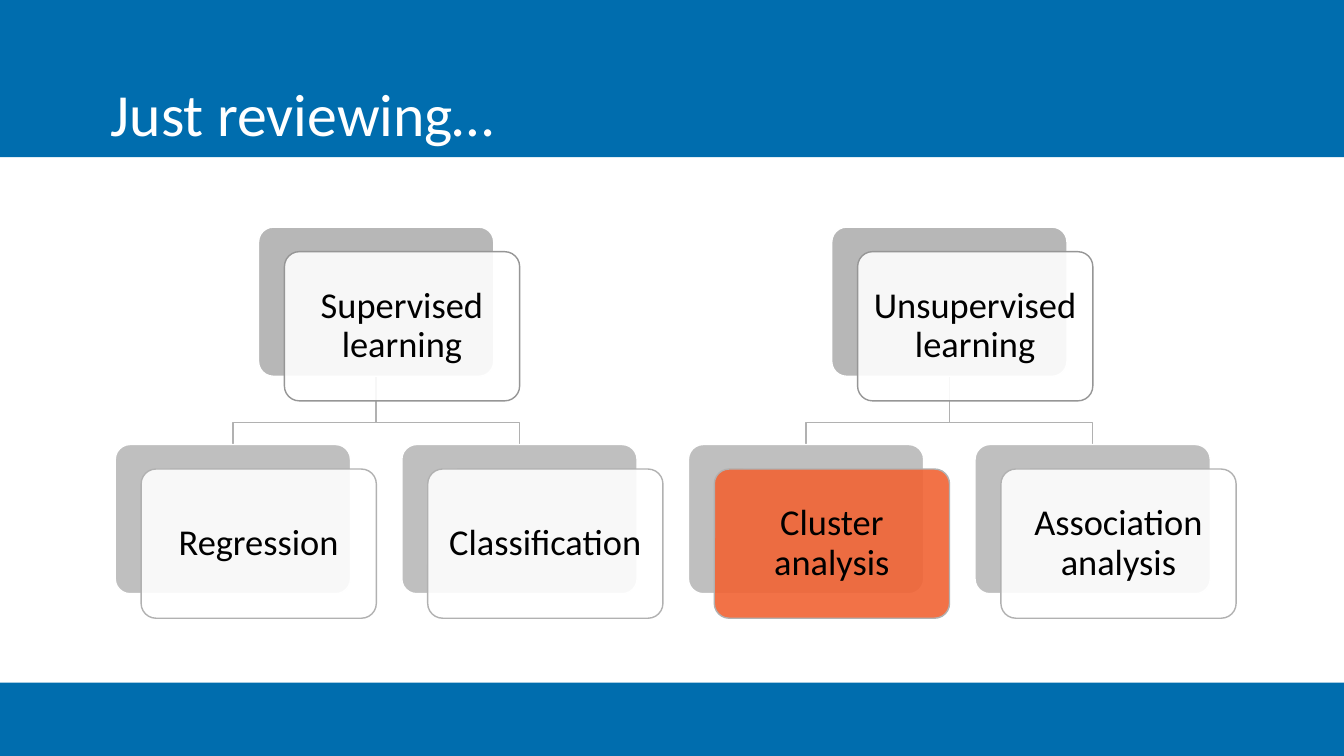
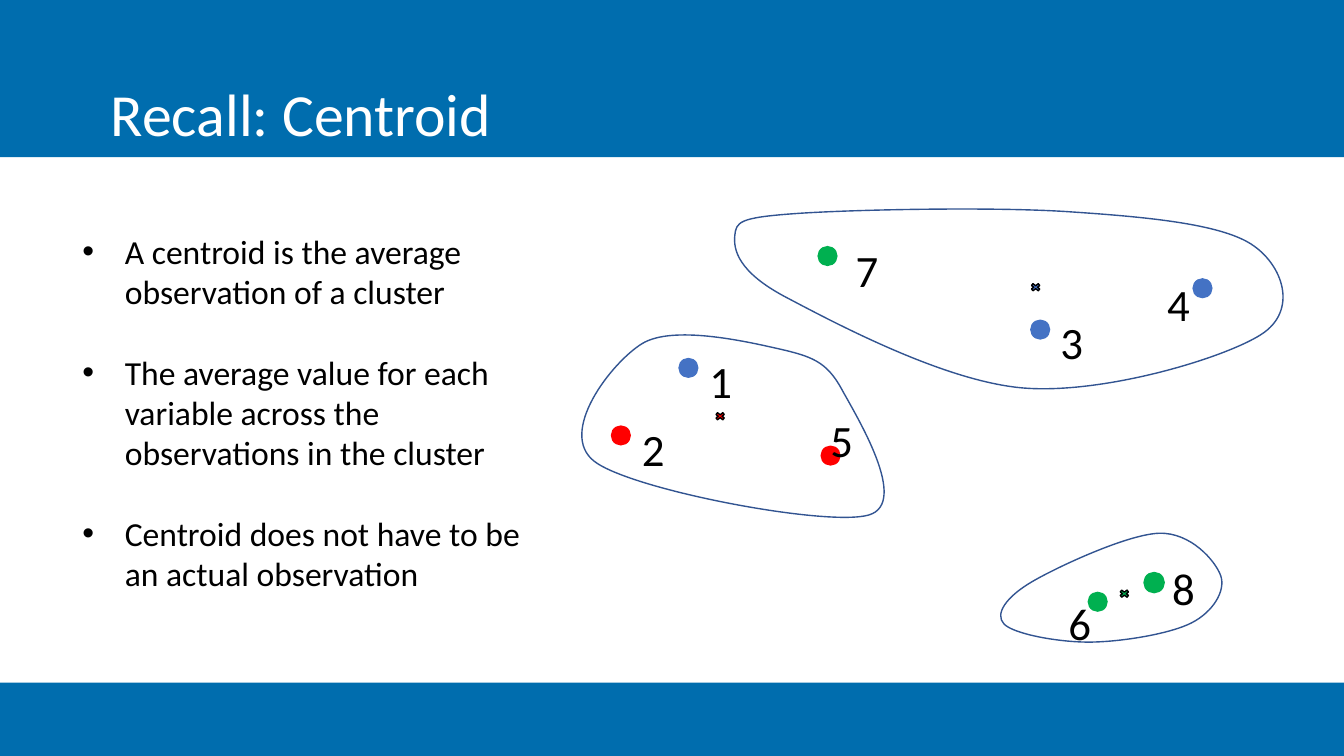
import dataclasses

import lxml.etree
import pptx
import pptx.dml.color
import pptx.enum.shapes
import pptx.enum.text
import pptx.oxml.ns
import pptx.util

SHAPES = pptx.enum.shapes.MSO_SHAPE
ALIGN = pptx.enum.text.PP_ALIGN
ANCHOR = pptx.enum.text.MSO_ANCHOR
qn = pptx.oxml.ns.qn


@dataclasses.dataclass(frozen=True)
class Theme:
    font: str = "Calibri"
    bullet_font: str = "Arial"
    band: str = "006DAE"
    paper: str = "FFFFFF"
    ink: str = "000000"
    card: str = "A5A5A5"
    parent_edge: str = "969696"
    child_edge: str = "B1B1B1"
    highlight: str = "F16334"
    outline: str = "325491"
    blue: str = "4472C4"
    red: str = "FF0000"
    green: str = "00B050"
    title_size: float = 42.7
    card_size: float = 26
    body_size: float = 24
    label_size: float = 32


@dataclasses.dataclass(frozen=True)
class Cluster:
    nodes: list
    centroid: tuple
    centroid_color: str
    members: list


THEME = Theme()
COLUMNS, ROWS = 40, 22.5
CARD_WIDTH, CARD_HEIGHT = 7, 4.44
CARD_SHIFT = (0.77, 0.73)
CARD_LEFT, CARD_PITCH = 3.43, 8.53
PARENT_TOP, BUS_TOP, CHILD_TOP = 6.76, 12.57, 13.23
DOT_SIZE = 0.6
CURVE_STEPS = 16

BRANCHES = [
    ("Supervised learning", ["Regression", "Classification"]),
    ("Unsupervised learning", ["Cluster analysis", "Association analysis"]),
]
HIGHLIGHTED = "Cluster analysis"

BULLETS = [
    "A centroid is the average observation of a cluster",
    "The average value for each variable across the observations in the cluster",
    "Centroid does not have to be an actual observation",
]

CLUSTERS = [
    Cluster(
        [(30.72, 17.31), (34.5, 15.87), (36.33, 17.13), (35.46, 18.54),
         (32.43, 19.11), (29.88, 18.57)],
        (33.27, 17.52), THEME.green,
        [("6", THEME.green, None, (32.37, 17.61), (31.5, 17.58)),
         ("8", THEME.green, THEME.green, (34.05, 17.04), (34.59, 16.53))],
    ),
    Cluster(
        [(19.11, 10.23), (23.16, 10.38), (25.05, 11.58), (25.86, 15.33),
         (17.7, 13.74)],
        (21.24, 12.24), THEME.red,
        [("1", THEME.blue, None, (20.19, 10.65), (20.82, 10.38)),
         ("2", THEME.red, None, (18.18, 12.66), (18.81, 12.39)),
         ("5", THEME.red, None, (24.42, 13.26), (24.42, 12.15))],
    ),
    Cluster(
        [(23.64, 6.36), (31.77, 6.3), (37.23, 7.26), (37.53, 9.96),
         (30.48, 11.55), (23.4, 8.85), (21.87, 7.02)],
        (30.63, 8.4), THEME.blue,
        [("3", THEME.blue, None, (30.66, 9.51), (31.26, 9.21)),
         ("4", THEME.blue, None, (35.49, 8.28), (34.44, 8.1)),
         ("7", THEME.green, None, (24.33, 7.32), (25.17, 7.08))],
    ),
]


def smooth_curves(nodes):
    curves = []
    for index, start in enumerate(nodes):
        before = nodes[index - 1]
        end = nodes[(index + 1) % len(nodes)]
        after = nodes[(index + 2) % len(nodes)]
        leaving = tuple(b + (c - a) / 6 for a, b, c in zip(before, start, end))
        arriving = tuple(c - (d - b) / 6 for b, c, d in zip(start, end, after))
        curves.append((start, leaving, arriving, end))
    return curves


def curve_point(curve, t):
    weights = ((1 - t) ** 3, 3 * t * (1 - t) ** 2, 3 * t * t * (1 - t), t ** 3)
    return [sum(w * value for w, value in zip(weights, axis)) for axis in zip(*curve)]


class Deck:
    def __init__(self, theme):
        self.theme = theme
        self.presentation = pptx.Presentation()
        self.presentation.slide_width = pptx.util.Inches(40 / 3)
        self.presentation.slide_height = pptx.util.Inches(7.5)
        self.slide = None

    def x(self, columns):
        return round(self.presentation.slide_width * columns / COLUMNS)

    def y(self, rows):
        return round(self.presentation.slide_height * rows / ROWS)

    def box(self, left, top, width, height):
        return self.x(left), self.y(top), self.x(width), self.y(height)

    def color(self, value):
        return pptx.dml.color.RGBColor.from_string(value)

    def paint(self, shape, fill=None, line=None, opacity=None):
        shape.shadow.inherit = False
        if fill:
            shape.fill.solid()
            shape.fill.fore_color.rgb = self.color(fill)
            if opacity:
                tint = shape._element.spPr.find(qn("a:solidFill"))[0]
                alpha = lxml.etree.SubElement(tint, qn("a:alpha"))
                alpha.set("val", str(opacity * 1000))
        else:
            shape.fill.background()
        if line:
            shape.line.color.rgb = self.color(line)
            shape.line.width = pptx.util.Pt(1)
        else:
            shape.line.fill.background()

    def style(self, paragraph, size, color):
        paragraph.font.name = self.theme.font
        paragraph.font.size = pptx.util.Pt(size)
        paragraph.font.color.rgb = self.color(color)

    def shape(self, kind, left, top, width, height, fill, line=None, opacity=None):
        shape = self.slide.shapes.add_shape(kind, *self.box(left, top, width, height))
        self.paint(shape, fill, line, opacity)
        return shape

    def new_slide(self, title):
        layout = self.presentation.slide_layouts[5]
        self.slide = self.presentation.slides.add_slide(layout)
        shape = self.slide.shapes.title
        shape.left, shape.top, shape.width, shape.height = self.box(0, 0, COLUMNS, 4.68)
        shape.fill.solid()
        shape.fill.fore_color.rgb = self.color(self.theme.band)
        frame = shape.text_frame
        frame.text = title
        frame.auto_size = pptx.enum.text.MSO_AUTO_SIZE.NONE
        frame.vertical_anchor = ANCHOR.BOTTOM
        frame.margin_left = self.x(3.3)
        frame.margin_bottom = self.y(0.27)
        paragraph = frame.paragraphs[0]
        paragraph.alignment = ALIGN.LEFT
        self.style(paragraph, self.theme.title_size, self.theme.paper)
        self.shape(SHAPES.RECTANGLE, 0, 20.32, COLUMNS, 2.18, self.theme.band)

    def card(self, left, top, fill, line, opacity):
        shape = self.shape(SHAPES.ROUNDED_RECTANGLE, left, top, CARD_WIDTH,
                           CARD_HEIGHT, fill, line, opacity)
        shape.adjustments[0] = 0.1

        return shape

    def back_card(self, left, top, opacity):
        self.card(left, top, self.theme.card, self.theme.paper, opacity)

    def front_card(self, left, top, text, line):
        fill = self.theme.highlight if text == HIGHLIGHTED else self.theme.paper
        shape = self.card(left + CARD_SHIFT[0], top + CARD_SHIFT[1], fill, line, 90)
        frame = shape.text_frame
        frame.text = text
        frame.word_wrap = True
        frame.vertical_anchor = ANCHOR.MIDDLE
        frame.margin_left = frame.margin_right = self.x(0.3)
        frame.margin_top = frame.margin_bottom = self.y(0.3)
        paragraph = frame.paragraphs[0]
        paragraph.alignment = ALIGN.CENTER
        paragraph.line_spacing = 0.9
        paragraph.space_after = pptx.util.Pt(9)
        self.style(paragraph, self.theme.card_size, self.theme.ink)

    def freeform(self, points, line, close):
        points = [(self.x(column), self.y(row)) for column, row in points]
        builder = self.slide.shapes.build_freeform(*points[0])
        builder.add_line_segments(points[1:], close=close)
        shape = builder.convert_to_shape()
        self.paint(shape, line=line)
        return shape

    def elbow(self, start, bend, end):
        points = [start, (start[0], bend), (end[0], bend), end]
        self.freeform(points, self.theme.child_edge, close=False)

    def branch(self, first_column, parent, children):
        lefts = [CARD_LEFT + CARD_PITCH * (first_column + index)
                 for index in range(len(children))]
        parent_left = sum(lefts) / len(lefts)
        fork = (parent_left + CARD_WIDTH / 2, PARENT_TOP + CARD_HEIGHT)
        for left in lefts:
            self.elbow(fork, BUS_TOP, (left + CARD_WIDTH / 2, CHILD_TOP))
        self.back_card(parent_left, PARENT_TOP, 80)
        self.front_card(parent_left, PARENT_TOP, parent, self.theme.parent_edge)
        for left, child in zip(lefts, children):
            self.back_card(left, CHILD_TOP, 70)
            self.front_card(left, CHILD_TOP, child, self.theme.child_edge)

    def text_box(self, left, top, width, height):
        box = self.slide.shapes.add_textbox(*self.box(left, top, width, height))
        box.text_frame.word_wrap = True
        return box.text_frame

    def bullets(self, texts, left, top, width, height):
        frame = self.text_box(left, top, width, height)
        frame.text = "\n".join(texts)
        indent = self.x(1.26)
        for index, paragraph in enumerate(frame.paragraphs):
            if index:
                paragraph.space_before = pptx.util.Pt(28.8)
            properties = paragraph._p.get_or_add_pPr()
            properties.set("marL", str(indent))
            properties.set("indent", str(-indent))
            face = lxml.etree.SubElement(properties, qn("a:buFont"))
            face.set("typeface", self.theme.bullet_font)
            bullet = lxml.etree.SubElement(properties, qn("a:buChar"))
            bullet.set("char", "•")
            self.style(paragraph, self.theme.body_size, self.theme.ink)

    def label(self, text, left, top):
        frame = self.text_box(left, top, 1.35, 1.92)
        frame.text = text
        self.style(frame.paragraphs[0], self.theme.label_size, self.theme.ink)

    def loop(self, nodes):
        shape = self.freeform(nodes, self.theme.outline, close=True)
        curves = smooth_curves(nodes)
        samples = [curve_point(curve, step / CURVE_STEPS)
                   for curve in curves for step in range(CURVE_STEPS)]
        columns, rows = zip(*samples)
        left, top = min(columns), min(rows)
        shape.left, shape.top, shape.width, shape.height = self.box(
            left, top, max(columns) - left, max(rows) - top)
        outline = next(shape._element.iter(qn("a:path")))
        outline.set("w", str(shape.width))
        outline.set("h", str(shape.height))
        for command in list(outline):
            outline.remove(command)

        def draw(name, points):
            command = lxml.etree.SubElement(outline, qn(name))
            for column, row in points:
                point = lxml.etree.SubElement(command, qn("a:pt"))
                point.set("x", str(self.x(column - left)))
                point.set("y", str(self.y(row - top)))

        draw("a:moveTo", nodes[:1])
        for curve in curves:
            draw("a:cubicBezTo", curve[1:])
        draw("a:close", [])

    def cluster(self, cluster):
        for text, fill, line, dot, label in cluster.members:
            self.shape(SHAPES.OVAL, *dot, DOT_SIZE, DOT_SIZE, fill, line)
            self.label(text, *label)
        self.loop(cluster.nodes)
        self.shape(SHAPES.MATH_MULTIPLY, *cluster.centroid, 0.39, 0.3,
                   cluster.centroid_color, self.theme.ink)


def main():
    deck = Deck(THEME)
    deck.new_slide("Just reviewing…")
    first_column = 0
    for parent, children in BRANCHES:
        deck.branch(first_column, parent, children)
        first_column += len(children)
    deck.new_slide("Recall: Centroid")
    deck.bullets(BULLETS, 2.16, 6.72, 13.98, 11.22)
    for cluster in CLUSTERS:
        deck.cluster(cluster)
    deck.presentation.save("out.pptx")


if __name__ == "__main__":
    main()
